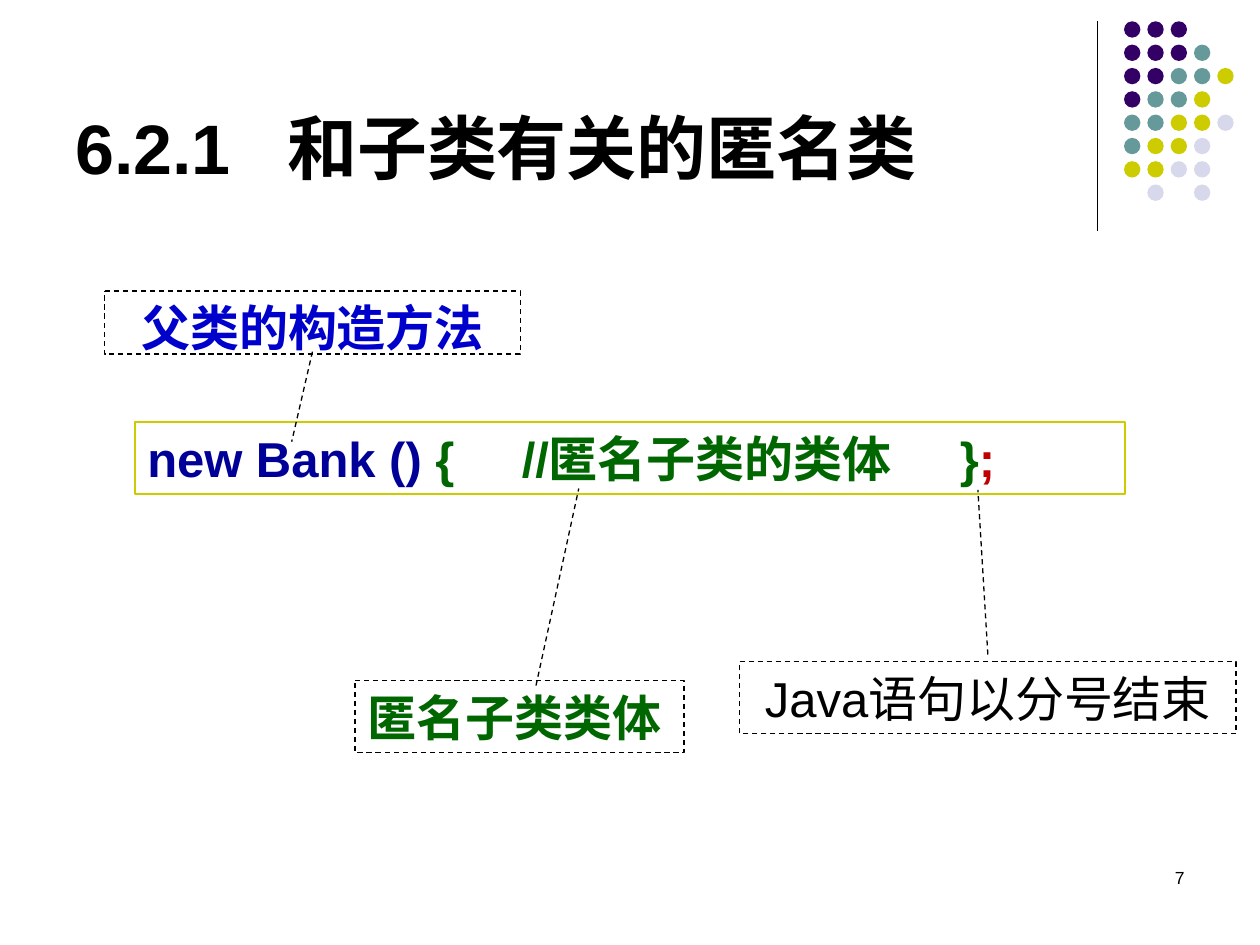
import dataclasses

import pptx
import pptx.dml.color
import pptx.enum.dml
import pptx.enum.shapes
import pptx.enum.text
import pptx.oxml.ns
import pptx.util
from lxml import etree

Cm = pptx.util.Cm
Pt = pptx.util.Pt
SHAPE = pptx.enum.shapes.MSO_SHAPE
ALIGN = pptx.enum.text.PP_ALIGN
ANCHOR = pptx.enum.text.MSO_ANCHOR


@dataclasses.dataclass(frozen=True)
class Theme:
    latin: str = "Arial"
    chinese: str = "Noto Sans CJK SC"
    title_size: int = 40
    body_size: int = 28
    number_size: int = 10
    line_width: float = 0.75
    black: str = "000000"
    navy: str = "000099"
    blue: str = "0000CC"
    green: str = "006600"
    red: str = "C00000"
    purple: str = "330066"
    teal: str = "669999"
    yellow: str = "CCCC00"
    lilac: str = "D8D8EC"


THEME = Theme()
DOT_COLOURS = {"P": THEME.purple, "T": THEME.teal, "Y": THEME.yellow, "L": THEME.lilac}
DOT_ROWS = ["PPP", "PPPT", "PPTTY", "PTTY", "TTYYL", "TYYL", "YYLL", " L L"]


def rgb(colour):
    return pptx.dml.color.RGBColor.from_string(colour)


def sub_element(parent, tag, **attributes):
    return etree.SubElement(parent, pptx.oxml.ns.qn(tag), attributes)


def set_tabs(para, stops):
    """Give the paragraph left tab stops at the given distances in cm."""
    tab_list = sub_element(para._p.get_or_add_pPr(), "a:tabLst")
    for stop in stops:
        sub_element(tab_list, "a:tab", pos=str(int(Cm(stop))), algn="l")


def write(shape, spans, size, bold=True, align=ALIGN.LEFT, anchor=ANCHOR.TOP, tabs=()):
    """Fill the shape with one paragraph of (text, colour) spans."""
    frame = shape.text_frame
    layout = {
        "word_wrap": True, "vertical_anchor": anchor,
        "margin_left": Cm(0.25), "margin_right": Cm(0.25),
        "margin_top": Cm(0.13), "margin_bottom": Cm(0.13),
    }
    for name, value in layout.items():
        setattr(frame, name, value)
    para = frame.paragraphs[0]
    para.alignment = align
    if tabs:
        set_tabs(para, tabs)
    for text, colour in spans:
        span = para.add_run()
        span.text = text
        for name, value in {"name": THEME.latin, "size": Pt(size), "bold": bold}.items():
            setattr(span.font, name, value)
        span.font.color.rgb = rgb(colour)
        sub_element(span._r.get_or_add_rPr(), "a:ea", typeface=THEME.chinese)


def add_text(page, place, spans, size, **style):
    box = page.shapes.add_textbox(*map(Cm, place))
    write(box, spans, size, **style)


def add_outline(page, kind, place, colour):
    shape = page.shapes.add_shape(kind, *map(Cm, place))
    shape.shadow.inherit = False
    shape.fill.background()
    shape.line.color.rgb = rgb(colour)
    shape.line.width = Pt(THEME.line_width)
    return shape


def add_callout(page, place, pointer, text, colour, **style):
    """Add a dashed callout; pointer is y, x of its start, then of its end."""
    shape = add_outline(page, SHAPE.LINE_CALLOUT_1, place, THEME.black)
    shape.line.dash_style = pptx.enum.dml.MSO_LINE.DASH
    for index, value in enumerate(pointer):
        shape.adjustments[index] = value
    write(shape, [(text, colour)], THEME.body_size, **style)


def add_divider(page, x, top, bottom):
    line = page.shapes.add_connector(
        pptx.enum.shapes.MSO_CONNECTOR.STRAIGHT, Cm(x), Cm(top), Cm(x), Cm(bottom))
    line.line.color.rgb = rgb(THEME.black)
    line.line.width = Pt(THEME.line_width)
    sub_element(line._element.spPr, "a:effectLst")


def add_dots(page, left, top, pitch, diameter):
    group = page.shapes.add_group_shape()
    for row, keys in enumerate(DOT_ROWS):
        for column, key in enumerate(keys):
            if key == " ":
                continue
            dot = group.shapes.add_shape(
                SHAPE.OVAL, Cm(left + column * pitch), Cm(top + row * pitch),
                Cm(diameter), Cm(diameter))
            dot.shadow.inherit = False
            dot.fill.solid()
            dot.fill.fore_color.rgb = rgb(DOT_COLOURS[key])
            dot.line.fill.background()


def main():
    deck = pptx.Presentation()
    deck.slide_width, deck.slide_height = Cm(25.4), Cm(19.05)
    page = deck.slides.add_slide(deck.slide_layouts[6])

    add_divider(page, 22.12, 0.43, 4.65)
    add_dots(page, left=22.66, top=0.43, pitch=0.47, diameter=0.33)
    add_text(page, (1.27, 0.33, 20.96, 3.6), [("6.2.1\t和子类有关的匿名类", THEME.black)],
             THEME.title_size, anchor=ANCHOR.BOTTOM, tabs=[4.27])
    add_text(page, (18.21, 17.35, 5.92, 1.27), [("7", THEME.black)],
             THEME.number_size, bold=False, align=ALIGN.RIGHT)

    code = add_outline(page, SHAPE.RECTANGLE, (2.72, 8.51, 19.96, 1.45), THEME.yellow)
    write(code, [("new Bank () ", THEME.navy), ("{\t//匿名子类的类体\t}", THEME.green),
                 (";", THEME.red)], THEME.body_size, tabs=[7.55, 16.38])

    add_callout(page, (7.16, 13.72, 6.63, 1.45), (0.07, 0.55, -2.67, 0.68),
                "匿名子类类体", THEME.green)
    add_callout(page, (2.11, 5.87, 8.38, 1.27), (0.96, 0.5, 2.39, 0.45),
                "父类的构造方法", THEME.blue, align=ALIGN.CENTER)
    add_callout(page, (14.91, 13.34, 10.01, 1.45), (-0.1, 0.5, -2.39, 0.48),
                "Java语句以分号结束", THEME.black, bold=False, align=ALIGN.CENTER)

    deck.save("out.pptx")


if __name__ == "__main__":
    main()
